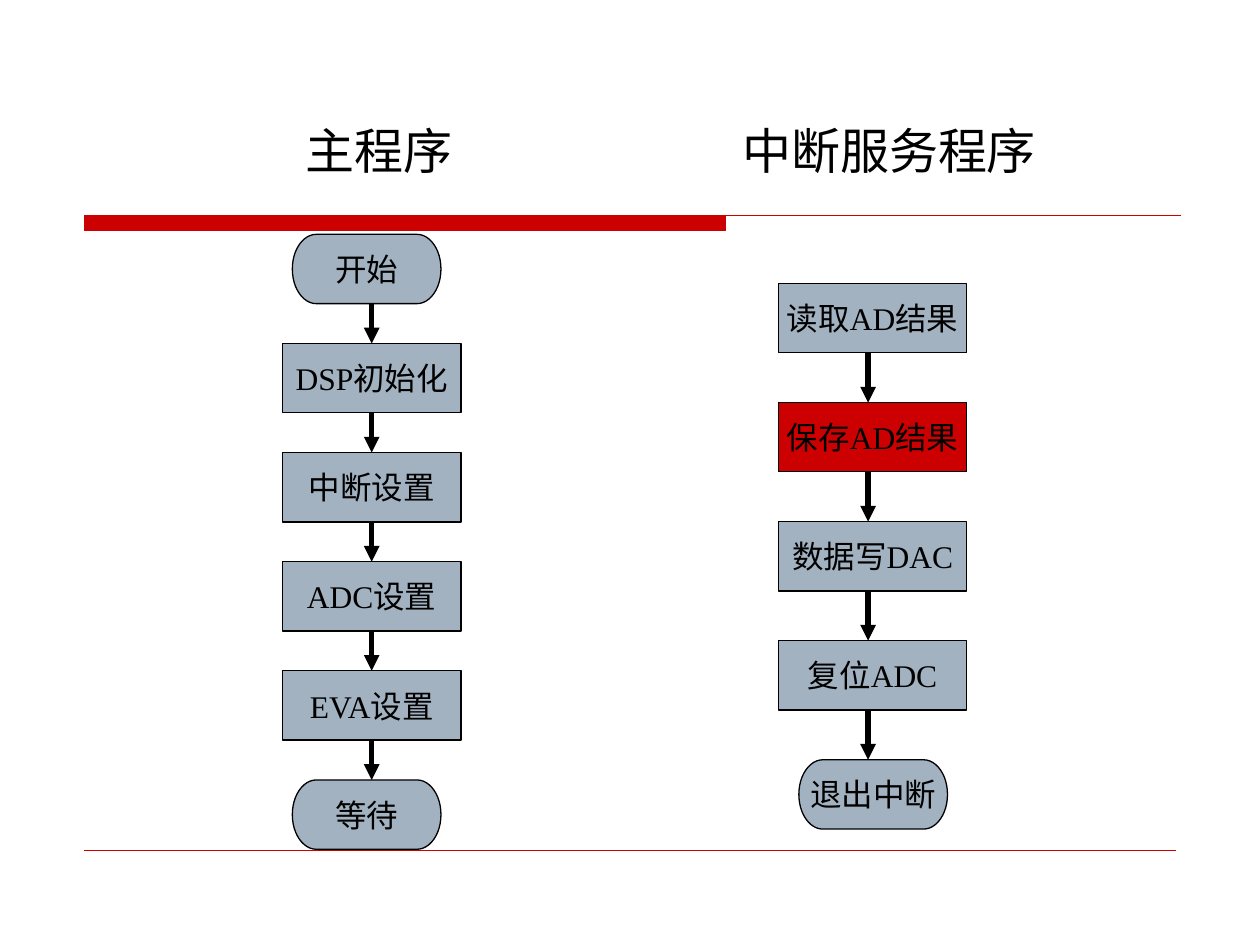
from pptx import Presentation
from pptx.dml.color import RGBColor
from pptx.enum.shapes import MSO_CONNECTOR as Connector, MSO_SHAPE as Shape
from pptx.enum.text import MSO_ANCHOR as Anchor, MSO_AUTO_SIZE as AutoSize, PP_ALIGN as Align
from pptx.oxml.ns import qn
from pptx.util import Inches, Pt
from lxml.etree import SubElement

RED = RGBColor(0xCC, 0x00, 0x00)
GREY_BLUE = RGBColor(0xA3, 0xB2, 0xC1)
BLACK = RGBColor(0x00, 0x00, 0x00)


def write_text(frame, text, size=18, align=Align.CENTER, anchor=Anchor.MIDDLE,
               font="Times New Roman", color=BLACK):
    frame.word_wrap = False
    frame.vertical_anchor = anchor
    paragraph = frame.paragraphs[0]
    paragraph.alignment = align
    run = paragraph.add_run()
    run.text = text
    run.font.name = font
    run.font.size = Pt(size)
    run.font.color.rgb = color


class FlowSlide:
    step_height = 0.55
    terminator_width = 1.18

    def __init__(self, presentation):
        self.slide = presentation.slides.add_slide(presentation.slide_layouts[6])

    def paint(self, shape, fill, outline):
        shape.shadow.inherit = False
        shape.fill.solid()
        shape.fill.fore_color.rgb = fill
        shape.line.color.rgb = outline
        shape.line.width = Pt(0.75)
        return shape

    def box(self, left, top, width, height, kind=Shape.RECTANGLE, fill=GREY_BLUE):
        shape = self.slide.shapes.add_shape(
            kind, Inches(left), Inches(top), Inches(width), Inches(height))
        return self.paint(shape, fill, BLACK)

    def title_rule(self, left, top, bar_right, right, bottom):
        start, *corners = [(Inches(x), Inches(y)) for x, y in (
            (left, top), (right, top), (bar_right, top), (bar_right, bottom), (left, bottom))]
        builder = self.slide.shapes.build_freeform(*start)
        builder.add_line_segments(corners, close=True)
        return self.paint(builder.convert_to_shape(), RED, RED)

    def line(self, start, end, color=BLACK, width=3, arrow=False):
        connector = self.slide.shapes.add_connector(
            Connector.STRAIGHT, *(Inches(value) for value in (*start, *end)))
        connector.line.color.rgb = color
        connector.line.width = Pt(width)
        if arrow:
            SubElement(connector.line._get_or_add_ln(), qn("a:tailEnd"), type="triangle")
        SubElement(connector._element.spPr, qn("a:effectLst"))

    def heading(self, text, left, width):
        box = self.slide.shapes.add_textbox(
            Inches(left), Inches(0.91), Inches(width), Inches(0.57))
        write_text(box.text_frame, text, size=28, align=Align.RIGHT, anchor=Anchor.TOP)
        box.text_frame.auto_size = AutoSize.SHAPE_TO_FIT_TEXT

    def flow(self, steps, first_top, last_top, left, width, terminator_left, arrow_x,
             terminators, highlight=None):
        pitch = (last_top - first_top) / (len(steps) - 1)
        for index, text in enumerate(steps):
            top = first_top + index * pitch
            fill = RED if text == highlight else GREY_BLUE
            if text in terminators:
                shape = self.box(terminator_left, top, self.terminator_width,
                                 self.step_height, Shape.FLOWCHART_TERMINATOR, fill)
            else:
                shape = self.box(left, top, width, self.step_height, fill=fill)
            write_text(shape.text_frame, text)
            if index:
                self.line((arrow_x, top - pitch + self.step_height), (arrow_x, top), arrow=True)


def main():
    presentation = Presentation()
    presentation.slide_width = Inches(10)
    presentation.slide_height = Inches(7.5)
    page = FlowSlide(presentation)

    page.title_rule(left=0.67, top=1.71, bar_right=5.76, right=9.37, bottom=1.83)
    page.line((0.67, 6.75), (9.33, 6.75), RED, 0.25)

    page.flow(["开始", "DSP初始化", "中断设置", "ADC设置", "EVA设置", "等待"],
              first_top=1.86, last_top=6.19, left=2.24, width=1.42,
              terminator_left=2.32, arrow_x=2.95, terminators=("开始", "等待"))
    page.flow(["读取AD结果", "保存AD结果", "数据写DAC", "复位ADC", "退出中断"],
              first_top=2.25, last_top=6.03, left=6.18, width=1.49,
              terminator_left=6.34, arrow_x=6.89, terminators=("退出中断",),
              highlight="保存AD结果")

    page.heading("主程序", 2.29, 1.4)
    page.heading("中断服务程序", 5.75, 2.57)
    presentation.save("out.pptx")


if __name__ == "__main__":
    main()
